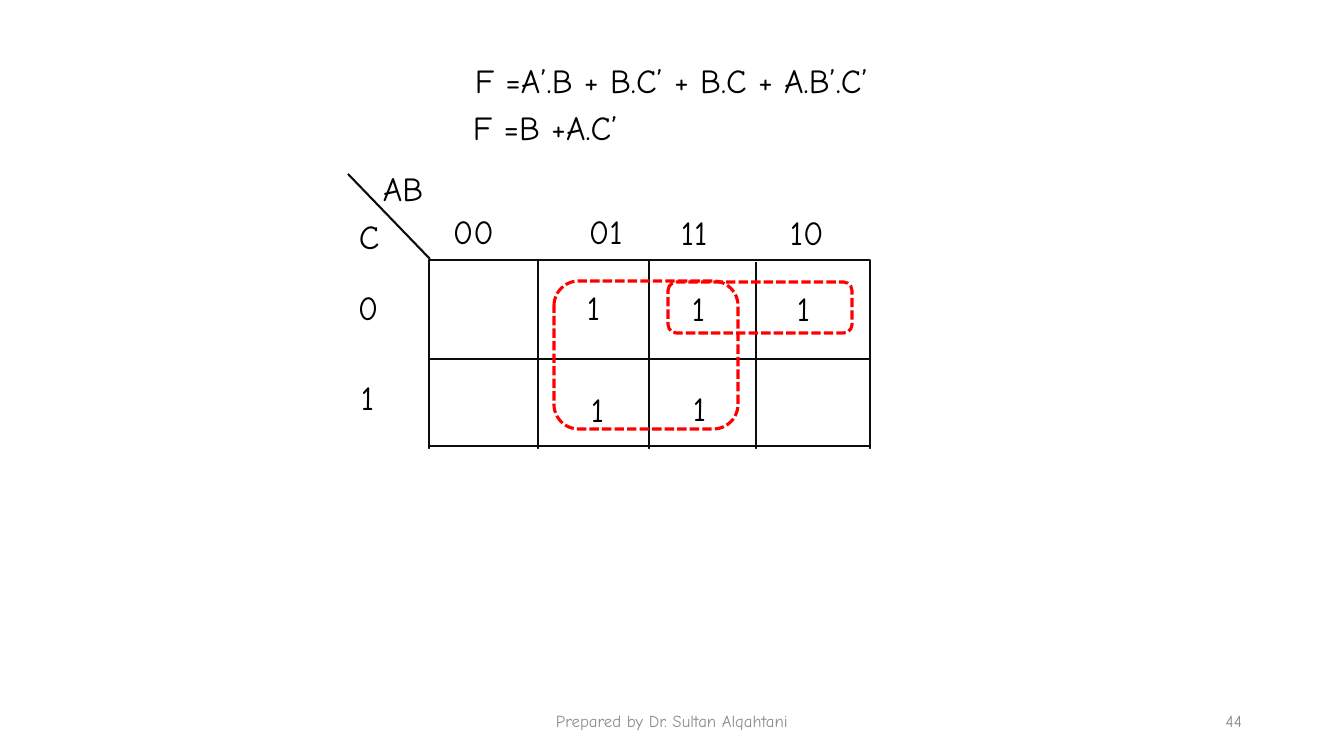
from lxml import etree
from pptx import Presentation
from pptx.dml.color import RGBColor
from pptx.enum.dml import MSO_LINE
from pptx.enum.shapes import MSO_CONNECTOR, MSO_SHAPE
from pptx.enum.text import MSO_ANCHOR, MSO_AUTO_SIZE, PP_ALIGN
from pptx.oxml.ns import qn
from pptx.util import Pt

STRAIGHT = MSO_CONNECTOR.STRAIGHT
RECTANGLE, ROUNDED = MSO_SHAPE.RECTANGLE, MSO_SHAPE.ROUNDED_RECTANGLE
DASH = MSO_LINE.SQUARE_DOT
TOP, MIDDLE = MSO_ANCHOR.TOP, MSO_ANCHOR.MIDDLE
LEFT, CENTER, RIGHT = PP_ALIGN.LEFT, PP_ALIGN.CENTER, PP_ALIGN.RIGHT
FIT, FIXED = MSO_AUTO_SIZE.SHAPE_TO_FIT_TEXT, MSO_AUTO_SIZE.NONE

FONT = "Comic Neue"
INK, GRID, LOOP, MUTED, PAPER = "000000", "0D0D0D", "FF0000", "8C8C8C", "FFFFFF"
EMU_PER_PX = 914400 / 100.8

formulas = [
    ("F =A’.B + B.C’ + B.C + A.B’.C’", 465, 55, 449),
    ("F =B +A.C’", 463, 102, 176),
]
variables = [("AB", 373, 163, 67), ("C", 349, 211, 41)]
column_codes = [("00", 443, 206, 61), ("01", 579, 206, 56),
                ("11", 671, 207, 50), ("10", 780, 207, 56)]
row_codes = [("0", 348, 282, 41), ("1", 351, 372, 35)]
minterms = [(577, 282), (682, 283), (787, 283), (581, 384), (683, 383)]
groups = [(554, 281, 184, 148), (668, 282, 184, 51)]
footers = [("Prepared by Dr. Sultan Alqahtani", 445, 454, CENTER),
           ("44", 950, 302, RIGHT)]

frame_box = (429, 260, 441, 373)
frame_right = frame_box[0] + frame_box[2]
frame_bottom = frame_box[1] + frame_box[3]
column_dividers = [(538, 260), (649, 260), (756, 262)]
row_dividers = [359, 446]
lower_cover = (400, 449, 549, 193)
corner_start, corner_tip = (430, 259), (348, 174)
LABEL_HEIGHT, FOOTER_TOP, FOOTER_HEIGHT = 50, 701, 40
MINTERM_WIDTH = 33


def px(*lengths):
    return [round(length * EMU_PER_PX) for length in lengths]


def color(hex_value):
    return RGBColor.from_string(hex_value)


def add_text(words, left, top, width, height=LABEL_HEIGHT, size=24, ink=INK,
             align=LEFT, anchor=TOP, wrap=False, fit=FIT):
    frame = slide.shapes.add_textbox(*px(left, top, width, height)).text_frame
    frame.text = words
    frame.word_wrap = wrap
    frame.auto_size = fit
    frame.vertical_anchor = anchor
    paragraph = frame.paragraphs[0]
    paragraph.alignment = align
    font = paragraph.runs[0].font
    font.name, font.size = FONT, Pt(size)
    font.color.rgb = color(ink)


def add_line(x1, y1, x2, y2):
    edge = slide.shapes.add_connector(STRAIGHT, *px(x1, y1, x2, y2))
    edge.line.color.rgb = color(GRID)
    edge.line.width = Pt(1.5)
    etree.SubElement(edge._element.spPr, qn("a:effectLst"))


def add_box(preset, box, fill=None, outline=None, weight=1.5, dash=None):
    shape = slide.shapes.add_shape(preset, *px(*box))
    shape.shadow.inherit = False
    if fill:
        shape.fill.solid()
        shape.fill.fore_color.rgb = color(fill)
    else:
        shape.fill.background()
    if outline:
        shape.line.color.rgb = color(outline)
        shape.line.width = Pt(weight)
        shape.line.dash_style = dash
    else:
        shape.line.fill.background()


deck = Presentation()
deck.slide_width, deck.slide_height = px(1344, 756)
slide = deck.slides.add_slide(deck.slide_layouts[6])

add_box(RECTANGLE, frame_box, PAPER, GRID)
for x, top in column_dividers:
    add_line(x, frame_bottom, x, top)
for y in row_dividers:
    add_line(frame_right, y, frame_box[0], y)
add_line(*corner_start, *corner_tip)
add_box(RECTANGLE, lower_cover, PAPER)

for label in formulas + variables + column_codes + row_codes:
    add_text(*label)
for left, top in minterms:
    add_text("1", left, top, MINTERM_WIDTH, wrap=True)
for group in groups:
    add_box(ROUNDED, group, None, LOOP, 2.25, DASH)
for words, left, width, align in footers:
    add_text(words, left, FOOTER_TOP, width, FOOTER_HEIGHT, 12, MUTED,
             align, MIDDLE, True, FIXED)

deck.save("out.pptx")
